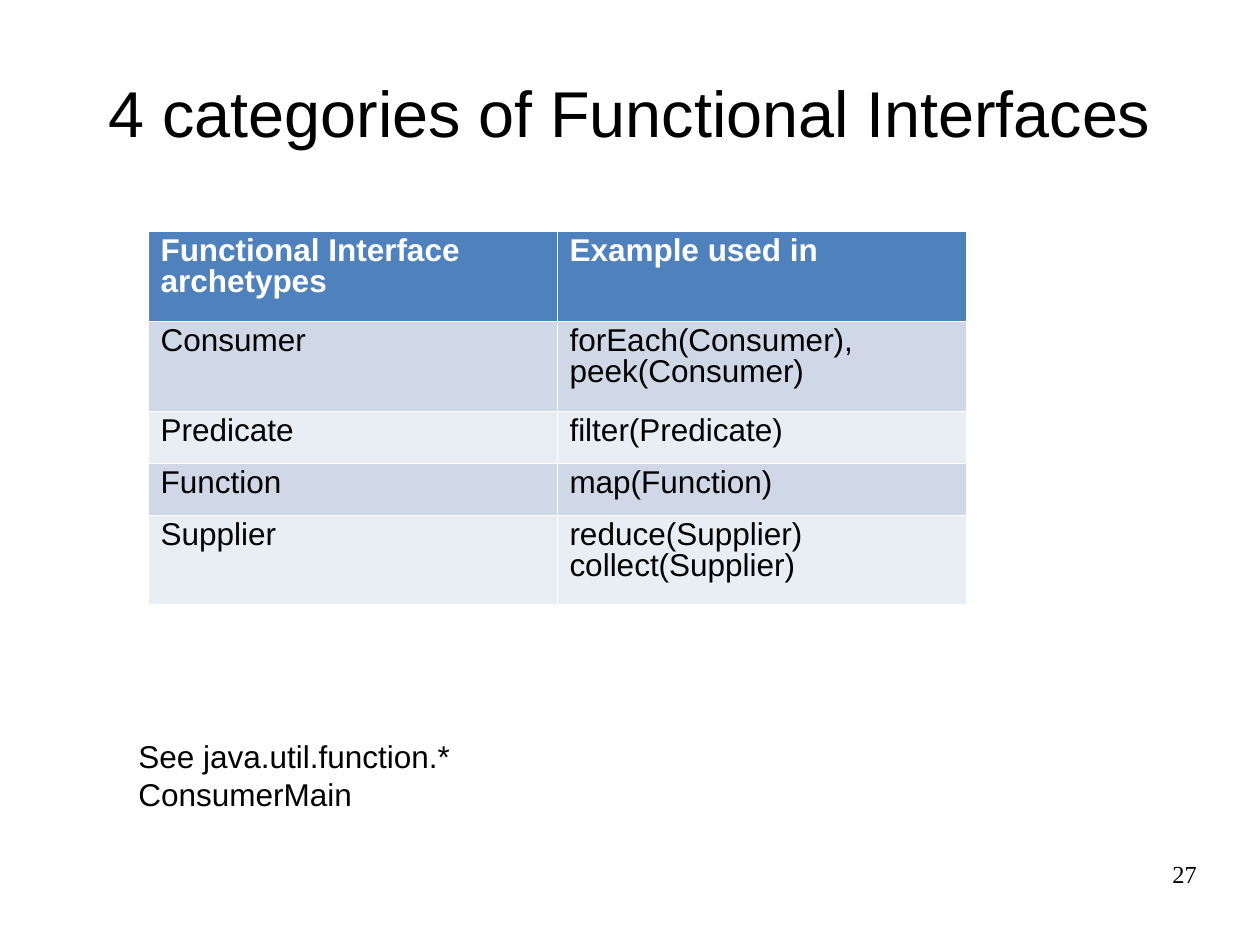
from lxml.etree import SubElement
from pptx import Presentation
from pptx.dml.color import RGBColor
from pptx.enum.text import MSO_ANCHOR, PP_ALIGN
from pptx.oxml.ns import qn
from pptx.util import Pt

SCALE = 914400 / 126
THEME = {
    "sans": "Arial", "serif": "Times New Roman",
    "black": "000000", "white": "FFFFFF",
    "head": "4F81BD", "odd": "D0D8E8", "even": "E9EDF4",
    "title": 37, "body": 18, "number": 14, "rule": 0.06,
}


def px(n):
    return round(n * SCALE)


def write(frame, text, size, color="black", face="sans", bold=False, **form):
    frame.text = text
    frame.word_wrap = True
    for para in frame.paragraphs:
        for key, value in form.items():
            setattr(para, key, value)
        look = {"name": THEME[face], "size": Pt(THEME[size]), "bold": bold}
        for run in para.runs:
            for key, value in look.items():
                setattr(run.font, key, value)
            run.font.color.rgb = RGBColor.from_string(THEME[color])


deck = Presentation()
deck.slide_width, deck.slide_height = px(1260), px(945)
slide = deck.slides.add_slide(deck.slide_layouts[6])

number = slide.shapes.add_textbox(px(903), px(861), px(294), px(66)).text_frame
for side in ("left", "top", "right", "bottom"):
    setattr(number, f"margin_{side}", 0)
write(number, "27", "number", face="serif", alignment=PP_ALIGN.RIGHT, line_spacing=0.95)

title = slide.shapes.add_textbox(px(63), px(38), px(1134), px(157)).text_frame
title.vertical_anchor = MSO_ANCHOR.MIDDLE
write(title, "4 categories of Functional Interfaces", "title",
      alignment=PP_ALIGN.CENTER, line_spacing=0.9)

rows = [
    (90, "Functional Interface archetypes", "Example used in"),
    (90, "Consumer", "forEach(Consumer), peek(Consumer)"),
    (52, "Predicate", "filter(Predicate)"),
    (52, "Function", "map(Function)"),
    (89, "Supplier", "reduce(Supplier)\ncollect(Supplier)"),
]
total = sum(row[0] for row in rows)
table = slide.shapes.add_table(len(rows), 2, px(148), px(231), px(818), px(total)).table
for column in table.columns:
    column.width = px(409)

for i, (height, *texts) in enumerate(rows):
    table.rows[i].height = px(height)
    fill = "head" if i == 0 else "odd" if i % 2 else "even"
    for j, text in enumerate(texts):
        cell = table.cell(i, j)
        write(cell.text_frame, text, "body", "black" if i else "white",
              bold=i == 0, line_spacing=0.87)
        props = cell._tc.get_or_add_tcPr()
        for edge in ("a:lnL", "a:lnR", "a:lnT", "a:lnB"):
            line = SubElement(props, qn(edge), w=str(Pt(THEME["rule"])))
            paint = SubElement(line, qn("a:solidFill"))
            SubElement(paint, qn("a:srgbClr"), val=THEME["white"])
        cell.fill.solid()
        cell.fill.fore_color.rgb = RGBColor.from_string(THEME[fill])

note = slide.shapes.add_textbox(px(126), px(731), px(403), px(88)).text_frame
write(note, "See java.util.function.*\nConsumerMain", "body")

deck.save("out.pptx")
